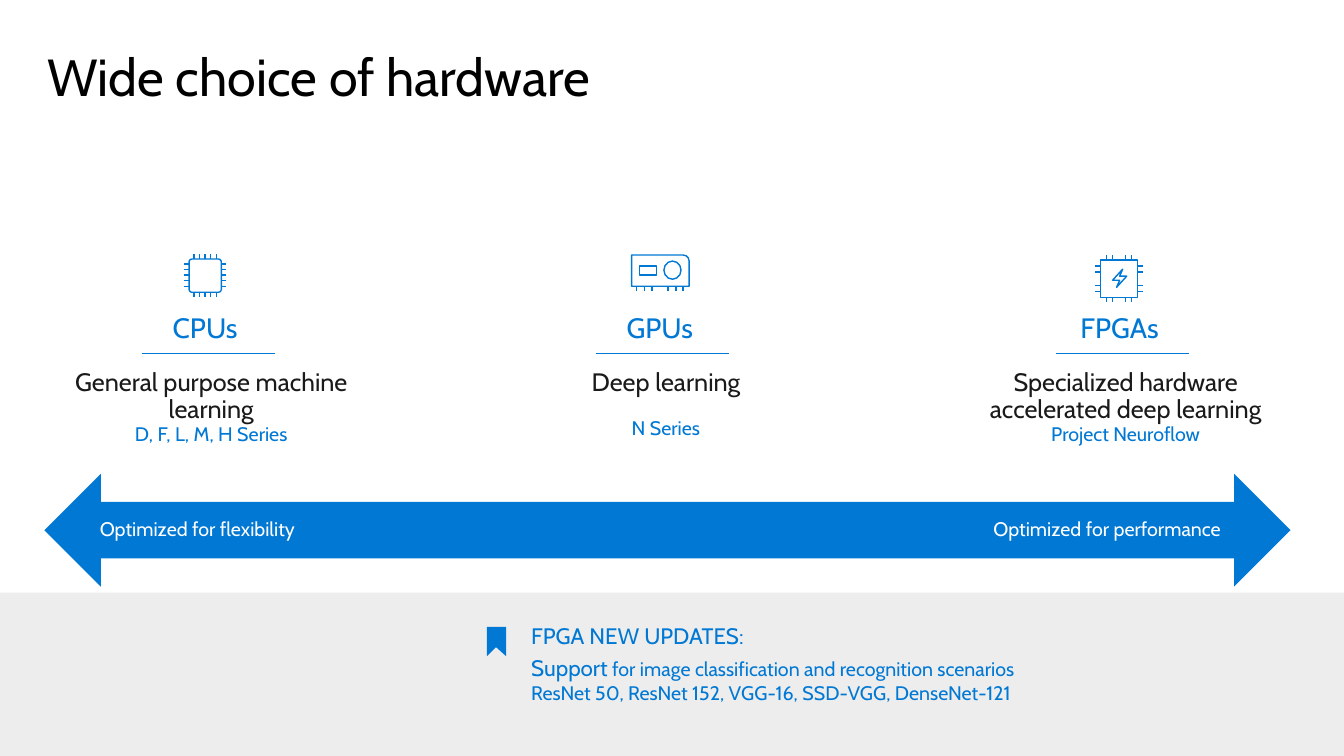
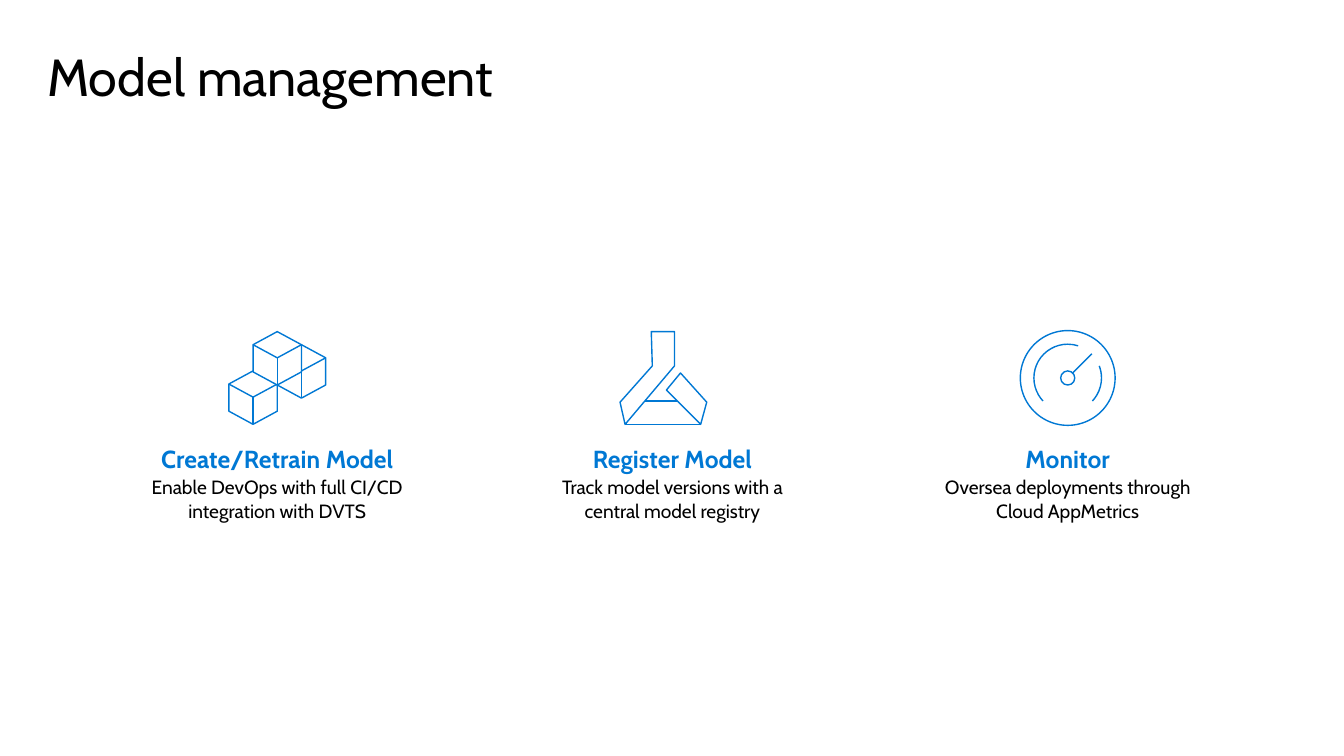
"""Build two slides on hardware choice and model management."""
from dataclasses import dataclass

from lxml import etree
from pptx import Presentation
from pptx.dml.color import RGBColor
from pptx.enum.shapes import MSO_CONNECTOR, MSO_SHAPE
from pptx.enum.text import MSO_ANCHOR, PP_ALIGN
from pptx.oxml.ns import qn
from pptx.util import Inches, Pt

LEFT, CENTER, RIGHT = PP_ALIGN.LEFT, PP_ALIGN.CENTER, PP_ALIGN.RIGHT
TOP, MIDDLE = MSO_ANCHOR.TOP, MSO_ANCHOR.MIDDLE
STRAIGHT = MSO_CONNECTOR.STRAIGHT
RECT, OVAL, ARC = MSO_SHAPE.RECTANGLE, MSO_SHAPE.OVAL, MSO_SHAPE.ARC
ROUNDED, ONE_ROUND = MSO_SHAPE.ROUNDED_RECTANGLE, MSO_SHAPE.ROUND_1_RECTANGLE
DOUBLE_ARROW = MSO_SHAPE.LEFT_RIGHT_ARROW


@dataclass(frozen=True)
class Theme:
    """Colours, font and type sizes shared by the slides."""
    font: str = "Cabin"
    accent: RGBColor = RGBColor(0x00, 0x78, 0xD4)
    black: RGBColor = RGBColor(0x00, 0x00, 0x00)
    ink: RGBColor = RGBColor(0x1A, 0x1A, 0x1A)
    white: RGBColor = RGBColor(0xFF, 0xFF, 0xFF)
    band: RGBColor = RGBColor(0xED, 0xED, 0xED)
    title: float = 37.2
    label: float = 20
    body: float = 18
    step: float = 17.6
    update: float = 16
    small: float = 14
    detail: float = 13.7
    stroke: float = 1
    tight: float = 0.9


THEME = Theme()


@dataclass(frozen=True)
class Para:
    """One paragraph, given as a string or as (text, size) runs."""
    text: str | tuple
    size: float
    color: RGBColor
    bold: bool = False
    before: float = 0
    after: float = 0


def add_text(shapes, box, paras, align=LEFT, anchor=TOP,
             insets=(0, 0, 0, 0), spacing=THEME.tight):
    """Add a wrapped text box with the given paragraphs."""
    frame = shapes.add_textbox(*map(Inches, box)).text_frame
    frame.word_wrap = True
    frame.vertical_anchor = anchor
    (frame.margin_left, frame.margin_top,
     frame.margin_right, frame.margin_bottom) = map(Inches, insets)
    for index, para in enumerate(paras):
        paragraph = frame.add_paragraph() if index else frame.paragraphs[0]
        paragraph.alignment = align
        paragraph.line_spacing = spacing
        paragraph.space_before = Pt(para.before)
        paragraph.space_after = Pt(para.after)
        font = paragraph.font
        font.name, font.size, font.bold = THEME.font, Pt(para.size), para.bold
        font.color.rgb = para.color
        if isinstance(para.text, str):
            paragraph.add_run().text = para.text
            continue
        for words, size in para.text:
            run = paragraph.add_run()
            run.text = words
            run.font.size = Pt(size)


def paint(shape, fill=None, line=None):
    """Set fill and outline, where None means neither is drawn."""
    shape.shadow.inherit = False
    if fill is None:
        shape.fill.background()
    else:
        shape.fill.solid()
        shape.fill.fore_color.rgb = fill
    if line is None:
        shape.line.fill.background()
    else:
        shape.line.color.rgb = line
        shape.line.width = Pt(THEME.stroke)


def add_preset(shapes, kind, box, fill=None, line=THEME.accent, adjust=()):
    """Add a preset shape with its adjustments."""
    shape = shapes.add_shape(kind, *map(Inches, box))
    for index, value in enumerate(adjust):
        shape.adjustments[index] = value
    paint(shape, fill, line)


def add_outline(shapes, x, y, points, fill=None, line=THEME.accent):
    """Add a closed polygon whose points are relative to x, y."""
    start, *rest = [(Inches(x + dx), Inches(y + dy)) for dx, dy in points]
    builder = shapes.build_freeform(*start)
    builder.add_line_segments(rest, close=True)
    paint(builder.convert_to_shape(), fill, line)


def add_line(shapes, x1, y1, x2, y2):
    """Add a thin accent line."""
    line = shapes.add_connector(STRAIGHT, *map(Inches, (x1, y1, x2, y2)))
    line.line.color.rgb = THEME.accent
    line.line.width = Pt(THEME.stroke)
    etree.SubElement(line._element.spPr, qn("a:effectLst"))


def add_pins(shapes, box, offsets, length=0.05):
    """Draw the same row of pins on all four sides of a chip."""
    x, y, width, height = box
    for offset in offsets:
        for edge, step in ((y, -length), (y + height, length)):
            add_line(shapes, x + offset, edge, x + offset, edge + step)
        for edge, step in ((x, -length), (x + width, length)):
            add_line(shapes, edge, y + offset, edge + step, y + offset)


def cpu_icon(shapes, x, y):
    """Draw a rounded chip centred on x."""
    body = (x - 0.16, y + 0.04, 0.32, 0.33)
    add_preset(shapes, ROUNDED, body, adjust=(0.09,))
    add_pins(shapes, body, [0.05 + 0.055 * i for i in range(5)])


def gpu_icon(shapes, x, y):
    """Draw a graphics card centred on x."""
    left = x - 0.28
    add_preset(shapes, ONE_ROUND, (left, y, 0.57, 0.31), adjust=(0.19,))
    for offset in (0.05, 0.13, 0.2, 0.36, 0.44, 0.51):
        add_line(shapes, left + offset, y + 0.31, left + offset, y + 0.36)
    add_preset(shapes, OVAL, (left + 0.32, y + 0.06, 0.17, 0.18))
    add_preset(shapes, RECT, (left + 0.08, y + 0.11, 0.17, 0.09))


def fpga_icon(shapes, x, y):
    """Draw a chip with a lightning bolt centred on x."""
    body = (x - 0.19, y + 0.05, 0.37, 0.37)
    add_preset(shapes, RECT, body)
    add_pins(shapes, body, (0.06, 0.12, 0.25, 0.31))
    add_outline(shapes, x - 0.07, y + 0.14, (
        (0.1, 0), (0.07, 0.07), (0.14, 0.07), (0.04, 0.18),
        (0.07, 0.11), (0, 0.11)))


def cubes_icon(shapes, x, y):
    """Draw three stacked cubes centred near x."""
    half, rise, full = 0.24, 0.13, 0.53
    for dx, dy, fill in ((0, 0.13, None), (-0.48, 0.39, None),
                         (-0.24, 0, THEME.white)):
        left, top = x + dx, y + dy
        add_outline(shapes, left, top, (
            (half, 0), (2 * half, rise), (2 * half, full - rise),
            (half, full), (0, full - rise), (0, rise)), fill)
        for ex, ey in ((0, rise), (2 * half, rise), (half, full)):
            add_line(shapes, left + half, top + 2 * rise, left + ex, top + ey)


def flask_icon(shapes, x, y):
    """Draw a folded flask just left of x."""
    left = x - 0.52
    add_preset(shapes, RECT, (left + 0.06, y + 0.69, 0.74, 0.23), THEME.white)
    for points in (
            ((0.31, 0), (0.54, 0), (0.54, 0.34), (0.05, 0.92),
             (0, 0.7), (0.32, 0.34)),
            ((0.46, 0.58), (0.6, 0.41), (0.86, 0.7), (0.8, 0.92))):
        add_outline(shapes, left, y, points, THEME.white)


def gauge_icon(shapes, x, y):
    """Draw a dial with a needle centred on x."""
    middle, degree = y + 0.46, 0.6
    for kind, radius, angles in ((OVAL, 0.47, ()), (OVAL, 0.07, ()),
                                 (ARC, 0.335, (137, -72)),
                                 (ARC, 0.335, (-21, 43))):
        add_preset(shapes, kind,
                   (x - radius, middle - radius, 2 * radius, 2 * radius),
                   adjust=[angle % 360 * degree for angle in angles])
    add_line(shapes, x + 0.05, middle - 0.05, x + 0.24, middle - 0.24)


def add_title(slide, text):
    """Place the slide title."""
    add_text(slide.shapes, (0.47, 0.33, 12.4, 0.83),
             [Para(text, THEME.title, THEME.black)], insets=(0, 0.18, 0, 0))


def hardware_column(slide, box, icon, label, purpose, series, gap=0):
    """Place icon, label, rule and description in one column."""
    x, y, width, height = box
    axis = x + width / 2 - 0.06
    icon(slide.shapes.add_group_shape().shapes, axis, y)
    add_text(slide.shapes, (axis - 0.5, y + 0.59, 1, 0.3),
             [Para(label, THEME.label, THEME.accent)], CENTER, MIDDLE)
    add_line(slide.shapes, axis - 0.63, y + 0.98, axis + 0.69, y + 0.98)
    add_text(slide.shapes, (x, y + 0.98, width, height - 0.98), [
        Para(purpose, THEME.body, THEME.ink),
        Para(series, THEME.small, THEME.accent, before=gap),
    ], CENTER, insets=(0.2, 0.16, 0.2, 0.16))


def spectrum_arrow(slide, box, start, end):
    """Place the double arrow with a label at each end."""
    x, y, width, height = box
    add_preset(slide.shapes, DOUBLE_ARROW, box, THEME.accent, None)
    for left, align, label in ((x + 0.55, LEFT, start),
                               (x + width - 3.69, RIGHT, end)):
        add_text(slide.shapes, (left, y + height / 2 - 0.11, 3, 0.21),
                 [Para(label, THEME.small, THEME.white)], align, MIDDLE)


def updates_band(slide, box):
    """Place the grey band with the bookmark and the updates."""
    x, y, _, _ = box
    add_preset(slide.shapes, RECT, box, THEME.band, None)
    add_outline(slide.shapes, x + 4.83, y + 0.34, (
        (0, 0), (0.19, 0), (0.19, 0.29), (0.09, 0.2), (0, 0.29)),
        THEME.accent, None)
    add_text(slide.shapes, (x + 5.17, y + 0.24, 7.95, 0.38),
             [Para("FPGA NEW UPDATES:", THEME.update, THEME.accent)],
             insets=(0.1, 0.05, 0.1, 0.05), spacing=1)
    support = (("Support", THEME.update),
               (" for image classification and recognition scenarios",
                THEME.small))
    add_text(slide.shapes, (x + 5.17, y + 0.61, 7.95, 0.5), [
        Para(support, THEME.small, THEME.accent),
        Para("ResNet 50, ResNet 152, VGG-16, SSD-VGG, DenseNet-121",
             THEME.small, THEME.accent),
    ], insets=(0.1, 0, 0, 0), spacing=1)


def management_step(slide, box, icon, heading, detail):
    """Place a step's icon above its heading and detail."""
    x, y, width, height = box
    icon(slide.shapes.add_group_shape().shapes, x + width / 2, y)
    add_text(slide.shapes, (x, y + 1.06, width, height - 1.06), [
        Para(heading, THEME.step, THEME.accent, bold=True, after=2),
        Para(detail, THEME.detail, THEME.black),
    ], CENTER, insets=(0.1, 0.05, 0.1, 0.05), spacing=1)


def hardware_slide(slide):
    """Compose the hardware slide."""
    add_title(slide, "Wide choice of hardware")
    for left, width, *content in (
            (0.19, 3.81, cpu_icon, "CPUs",
             "General purpose machine learning", "D, F, L, M, H Series"),
            (4.7, 3.81, gpu_icon, "GPUs", "Deep learning", "N Series", 15),
            (9.45, 3.43, fpga_icon, "FPGAs",
             "Specialized hardware accelerated deep learning",
             "Project Neuroflow")):
        hardware_column(slide, (left, 2.53, width, 1.69), *content)
    spectrum_arrow(slide, (0.44, 4.7, 12.36, 1.12),
                   "Optimized for flexibility", "Optimized for performance")
    updates_band(slide, (0, 5.88, 13.33, 1.62))


def management_slide(slide):
    """Compose the model management slide."""
    add_title(slide, "Model management")
    steps = (
        (cubes_icon, "Create/Retrain Model",
         "Enable DevOps with full CI/CD integration with DVTS"),
        (flask_icon, "Register Model",
         "Track model versions with a central model registry"),
        (gauge_icon, "Monitor",
         "Oversea deployments through Cloud AppMetrics"))
    for index, step in enumerate(steps):
        management_step(slide, (1.3 + 3.92 * index, 3.29, 2.9, 1.95), *step)


def main():
    """Build and save the presentation."""
    deck = Presentation()
    deck.slide_width, deck.slide_height = Inches(13.33), Inches(7.5)
    for compose in (hardware_slide, management_slide):
        compose(deck.slides.add_slide(deck.slide_layouts[6]))
    deck.save("out.pptx")


if __name__ == "__main__":
    main()
